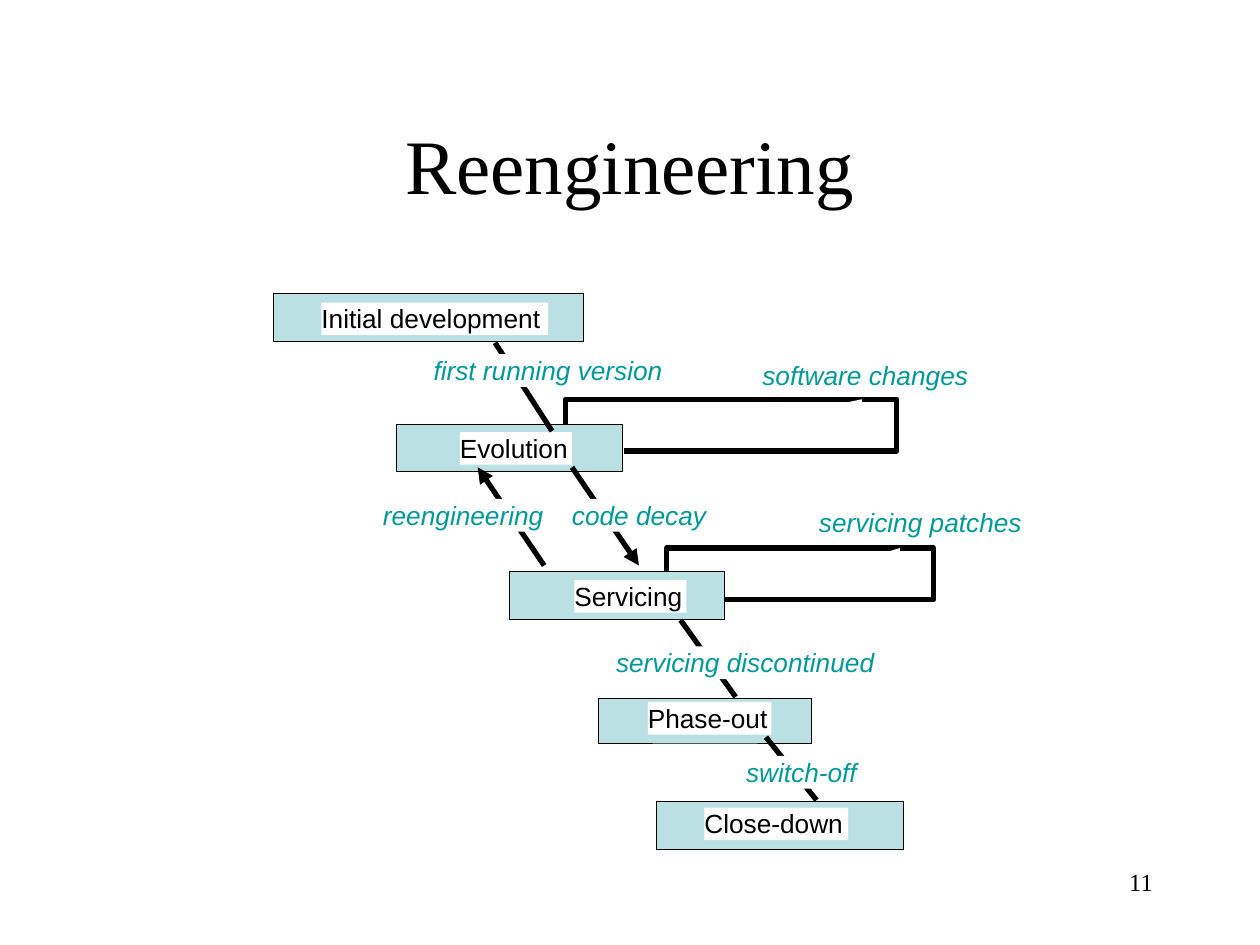
from dataclasses import dataclass

import lxml.etree
import pptx
import pptx.dml.color
import pptx.enum.shapes
import pptx.enum.text
import pptx.oxml.ns
import pptx.util

Cm = pptx.util.Cm
Pt = pptx.util.Pt
ALIGN = pptx.enum.text.PP_ALIGN
ANCHOR = pptx.enum.text.MSO_ANCHOR
RECT = pptx.enum.shapes.MSO_SHAPE.RECTANGLE
STRAIGHT = pptx.enum.shapes.MSO_CONNECTOR.STRAIGHT


@dataclass(frozen=True)
class Theme:
    ink: str = "000000"
    paper: str = "FFFFFF"
    stage: str = "BBE0E3"
    event: str = "009999"
    serif: str = "Times New Roman"
    sans: str = "Arial"
    title_size: float = 44
    label_size: float = 15
    number_size: float = 14
    outline: float = 0.25
    stroke: float = 3


THEME = Theme()
LABEL_HEIGHT = 0.66

STAGES = [
    ("Initial development", (0, 0, 6.25, 0.97), (0.97, 0.18, 4.57)),
    ("Evolution", (2.47, 2.64, 4.57, 0.94), (1.29, 0.15, 2.26)),
    ("Servicing", (4.75, 5.59, 4.34, 0.97), (1.32, 0.18, 2.26)),
    ("Phase-out", (6.56, 8.15, 4.29, 0.91), (0.99, 0.08, 2.49)),
    ("Close-down", (7.72, 10.23, 4.98, 0.97), (0.97, 0.13, 2.9)),
]
TRANSITIONS = [
    ("first running version", (3.23, 1.22, 4.78), (4.47, 0.99), (5.62, 2.77), False),
    ("code decay", (6.02, 4.14, 3), (6.02, 3.5), (7.37, 5.48), True),
    ("reengineering", (2.21, 4.14, 3.48), (5.46, 5.48), (4.12, 3.5), True),
    ("servicing discontinued", (6.91, 7.11, 5.38), (8.21, 6.58), (9.32, 8.13), False),
    ("switch-off", (9.53, 9.32, 2.31), (9.93, 8.94), (10.95, 10.21), False),
]
LOOPS = [
    ("software changes", (9.86, 1.32, 4.42),
     [(11.86, 2.13), (5.89, 2.13), (5.89, 2.77)],
     [(11.86, 2.13), (12.57, 2.13), (12.57, 3.17), (7.06, 3.17)]),
    ("servicing patches", (11, 4.29, 4.24),
     [(12.63, 5.13), (7.93, 5.13), (7.93, 5.76)],
     [(12.63, 5.13), (13.31, 5.13), (13.31, 6.17), (9.1, 6.17)]),
]


def rgb(value):
    return pptx.dml.color.RGBColor.from_string(value)


def paint(sp, fill, line=None, width=0):
    sp.shadow.inherit = False
    sp.fill.solid()
    sp.fill.fore_color.rgb = rgb(fill)
    if line:
        sp.line.color.rgb = rgb(line)
        sp.line.width = Pt(width)
    else:
        sp.line.fill.background()


def write(tf, text, font, size, color, align, italic=False):
    p = tf.paragraphs[0]
    p.alignment = align
    r = p.add_run()
    r.text = text
    r.font.name = font
    r.font.size = Pt(size)
    r.font.italic = italic
    r.font.color.rgb = rgb(color)


def add_rect(s, x, y, w, h):
    return s.shapes.add_shape(RECT, Cm(x), Cm(y), Cm(w), Cm(h))


def add_label(s, x, y, w, text, color, italic=False):
    sp = add_rect(s, x, y, w, LABEL_HEIGHT)
    paint(sp, THEME.paper)
    tf = sp.text_frame
    tf.word_wrap = True
    tf.vertical_anchor = ANCHOR.TOP
    tf.margin_left = tf.margin_right = tf.margin_top = tf.margin_bottom = 0
    write(tf, text, THEME.sans, THEME.label_size, color, ALIGN.LEFT, italic)


def add_path(s, points):
    start, *rest = [(Cm(x), Cm(y)) for x, y in points]
    fb = s.shapes.build_freeform(*start)
    fb.add_line_segments(rest, close=False)
    paint(fb.convert_to_shape(), THEME.paper, THEME.ink, THEME.stroke)


def add_line(s, start, end, arrow):
    cx = s.shapes.add_connector(STRAIGHT, *[Cm(v) for v in (*start, *end)])
    cx.line.color.rgb = rgb(THEME.ink)
    cx.line.width = Pt(THEME.stroke)
    qn = pptx.oxml.ns.qn
    if arrow:
        ln = cx.line._get_or_add_ln()
        lxml.etree.SubElement(ln, qn("a:tailEnd"), type="triangle")
    lxml.etree.SubElement(cx._element.spPr, qn("a:effectLst"))


def add_title(s, box):
    sp = s.shapes.title
    sp.left, sp.top, sp.width, sp.height = [Cm(v) for v in box]
    sp.text_frame.vertical_anchor = ANCHOR.MIDDLE
    write(sp.text_frame, "Reengineering", THEME.serif, THEME.title_size,
          THEME.ink, ALIGN.CENTER)


def add_diagram(s, box):
    left, top = box[:2]

    def at(point):
        return left + point[0], top + point[1]

    for text, label, *paths in LOOPS:
        for points in paths:
            add_path(s, [at(point) for point in points])
    for text, (x, y, w, h), (dx, dy, label_w) in STAGES:
        paint(add_rect(s, *at((x, y)), w, h), THEME.stage, THEME.ink, THEME.outline)
        add_label(s, *at((x + dx, y + dy)), label_w, text, THEME.ink)
    for text, label, start, end, arrow in TRANSITIONS:
        add_line(s, at(start), at(end), arrow)
    for text, (x, y, w), *route in TRANSITIONS + LOOPS:
        add_label(s, *at((x, y)), w, text, THEME.event, True)


def add_page_number(s, box):
    tf = s.shapes.add_textbox(*[Cm(v) for v in box]).text_frame
    tf.word_wrap = True
    write(tf, "11", THEME.serif, THEME.number_size, THEME.ink, ALIGN.RIGHT)


def main():
    prs = pptx.Presentation()
    prs.slide_width, prs.slide_height = Cm(25.4), Cm(19.05)
    s = prs.slides.add_slide(prs.slide_layouts[5])
    add_title(s, (1.9, 1.7, 21.6, 3.18))
    add_diagram(s, (5.51, 5.92, 15.24, 11.2))
    add_page_number(s, (18.21, 17.35, 5.28, 1.27))
    prs.save("out.pptx")


if __name__ == "__main__":
    main()
